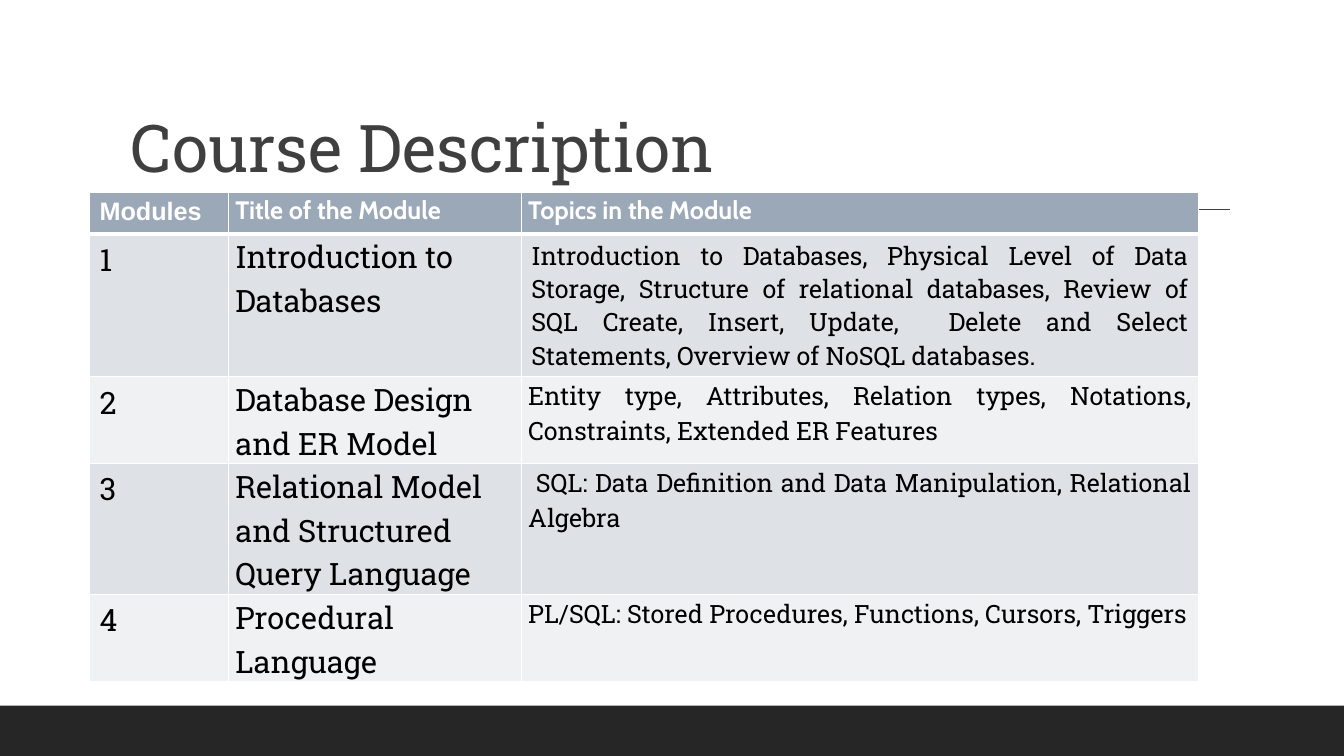
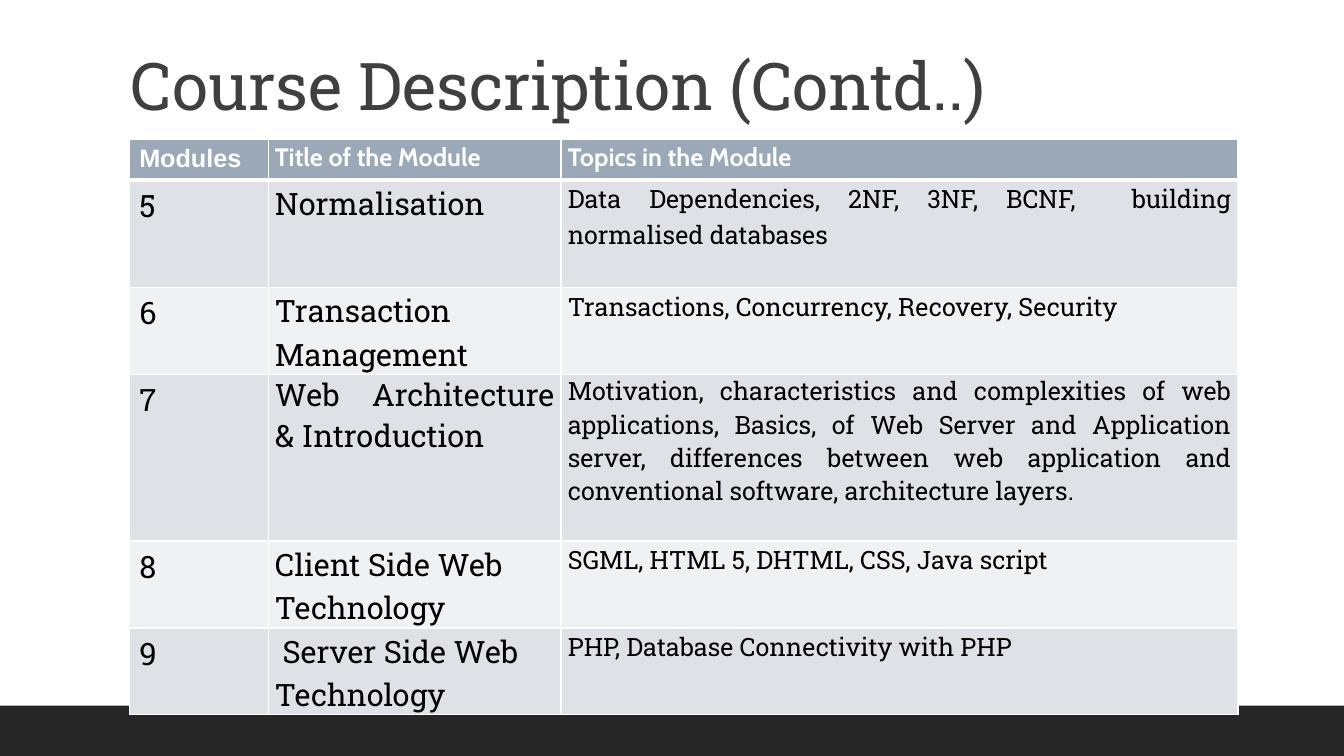
"""Build two course description slides, each with a table of modules."""
import pptx
import pptx.dml.color
import pptx.enum.shapes
import pptx.enum.text
import pptx.oxml
import pptx.oxml.ns
import pptx.util
from pptx.util import Cm

RGBColor = pptx.dml.color.RGBColor
WHITE = RGBColor(0xFF, 0xFF, 0xFF)
BLACK = RGBColor(0x00, 0x00, 0x00)
BAND = RGBColor(0x26, 0x26, 0x26)
TITLE = RGBColor(0x3F, 0x3F, 0x3F)
HEADER = RGBColor(0x9B, 0xA8, 0xB7)
ODD_ROW = RGBColor(0xDE, 0xE1, 0xE5)
EVEN_ROW = RGBColor(0xEF, 0xF1, 0xF3)

BODY_FONT = "Roboto Slab"
HEADER_FONTS = ["Arial", "Cabin", "Cabin"]
HEADINGS = ["Modules", "Title of the Module", "Topics in the Module"]
COLUMN_WIDTHS = [3.5, 7.38, 17.06]
BODY_SIZES = [22, 22, 18]
LINE_SPACING = 1.07
WIDE_MARGINS = (0.25, 0.13)
NARROW_MARGINS = (0.17, 0)
LEFT = pptx.enum.text.PP_ALIGN.LEFT
JUSTIFY = pptx.enum.text.PP_ALIGN.JUSTIFY

SLIDES = [
    {
        "title": "Course Description",
        "title_height": 4.04,
        "table_at": (2.26, 4.86),
        "row_heights": [1.03, 3.6, 2.19, 3.3, 2.19],
        "rows": [
            ("1", "Introduction to Databases",
             "Introduction to Databases, Physical Level of Data Storage, Structure of "
             "relational databases, Review of SQL Create, Insert, Update,  Delete and "
             "Select Statements, Overview of NoSQL databases."),
            ("2", "Database Design and ER Model",
             "Entity type, Attributes, Relation types, Notations, Constraints, "
             "Extended ER Features"),
            ("3", "Relational Model and Structured Query Language",
             " SQL: Data Definition and Data Manipulation, Relational Algebra"),
            ("4", "Procedural Language",
             "PL/SQL: Stored Procedures, Functions, Cursors, Triggers"),
        ],
        "wide_cells": {(1, 2)},
        "single_spaced": {(1, 2)},
        "justified_titles": set(),
    },
    {
        "title": "Course Description (Contd..)",
        "title_height": 2.49,
        "table_at": (3.26, 3.52),
        "row_heights": [0.93, 2.7, 2.19, 4.2, 2.19, 2.19],
        "rows": [
            ("5", "Normalisation",
             "Data Dependencies, 2NF, 3NF, BCNF,  building normalised databases"),
            ("6", "Transaction Management",
             "Transactions, Concurrency, Recovery, Security"),
            ("7", "Web Architecture & Introduction",
             "Motivation, characteristics and complexities of web applications, Basics, "
             "of Web Server and Application server, differences between web application "
             "and conventional software, architecture layers."),
            ("8", "Client Side Web Technology",
             "SGML, HTML 5, DHTML, CSS, Java script"),
            ("9", " Server Side Web Technology",
             "PHP, Database Connectivity with PHP"),
        ],
        "wide_cells": set(),
        "single_spaced": {(3, 1), (3, 2)},
        "justified_titles": {(3, 1)},
    },
]


def format_text(paragraph, font_name, size, color, bold=False):
    for run in paragraph.runs:
        run.font.name = font_name
        run.font.size = pptx.util.Pt(size)
        run.font.color.rgb = color
        run.font.bold = bold


def set_borders(cell, bottom_width):
    properties = cell._tc.get_or_add_tcPr()
    for side, width in (("L", 1), ("R", 1), ("T", 1), ("B", bottom_width)):
        properties.append(pptx.oxml.parse_xml(
            f'<a:ln{side} {pptx.oxml.ns.nsdecls("a")} w="{pptx.util.Pt(width)}">'
            f'<a:solidFill><a:srgbClr val="{WHITE}"/></a:solidFill></a:ln{side}>'))


presentation = pptx.Presentation()
presentation.slide_width = Cm(33.87)
presentation.slide_height = Cm(19.05)

for content in SLIDES:
    slide = presentation.slides.add_slide(presentation.slide_layouts[6])

    band = slide.shapes.add_shape(
        pptx.enum.shapes.MSO_SHAPE.RECTANGLE, 0, Cm(17.78), Cm(33.87), Cm(1.27))
    band.shadow.inherit = False
    band.fill.solid()
    band.fill.fore_color.rgb = BAND
    band.line.fill.background()

    rule = slide.shapes.add_connector(
        pptx.enum.shapes.MSO_CONNECTOR.STRAIGHT, Cm(3.32), Cm(5.28), Cm(31), Cm(5.28))
    rule.line.color.rgb = TITLE
    rule.line.width = pptx.util.Pt(1)
    rule._element.spPr.append(
        pptx.oxml.parse_xml(f'<a:effectLst {pptx.oxml.ns.nsdecls("a")}/>'))

    title = slide.shapes.add_textbox(
        Cm(3.05), Cm(0.79), Cm(27.94), Cm(content["title_height"]))
    title.text_frame.word_wrap = True
    title.text_frame.vertical_anchor = pptx.enum.text.MSO_ANCHOR.BOTTOM
    title.text_frame.text = content["title"]
    title_paragraph = title.text_frame.paragraphs[0]
    title_paragraph.line_spacing = 0.9
    format_text(title_paragraph, BODY_FONT, 47, TITLE)

    rows = [HEADINGS, *content["rows"]]
    left, top = content["table_at"]
    table = slide.shapes.add_table(
        len(rows), len(HEADINGS), Cm(left), Cm(top),
        Cm(sum(COLUMN_WIDTHS)), Cm(sum(content["row_heights"]))).table
    table.first_row = False
    table.horz_banding = False
    for column, width in zip(table.columns, COLUMN_WIDTHS):
        column.width = Cm(width)
    for row, height in zip(table.rows, content["row_heights"]):
        row.height = Cm(height)

    for row_index, texts in enumerate(rows):
        is_header = row_index == 0
        row_fill = HEADER if is_header else ODD_ROW if row_index % 2 else EVEN_ROW
        for column_index, text in enumerate(texts):
            position = (row_index, column_index)
            cell = table.cell(*position)
            set_borders(cell, 3 if is_header else 1)
            cell.fill.solid()
            cell.fill.fore_color.rgb = row_fill
            wide = column_index == 0 or position in content["wide_cells"]
            side, edge = WIDE_MARGINS if wide else NARROW_MARGINS
            cell.margin_left = cell.margin_right = Cm(side)
            cell.margin_top = cell.margin_bottom = Cm(edge)

            cell.text_frame.text = text
            paragraph = cell.text_frame.paragraphs[0]
            single = column_index == 0 or position in content["single_spaced"]
            paragraph.line_spacing = 1.0 if single else LINE_SPACING
            is_topic = column_index == 2 and not is_header
            justified = is_topic or position in content["justified_titles"]
            paragraph.alignment = JUSTIFY if justified else LEFT
            if is_header:
                format_text(paragraph, HEADER_FONTS[column_index], 18, WHITE, bold=True)
            else:
                format_text(paragraph, BODY_FONT, BODY_SIZES[column_index], BLACK)

presentation.save("out.pptx")
